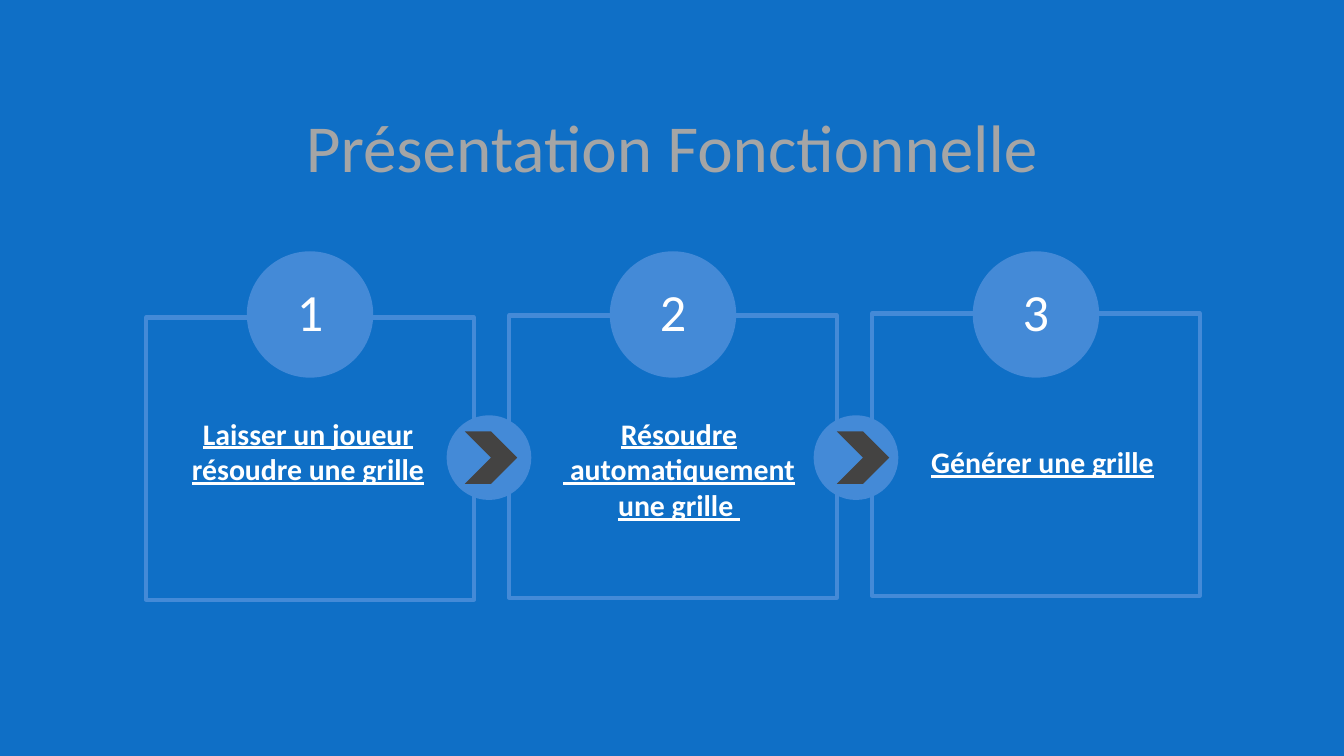
from pptx import Presentation
from pptx.dml.color import RGBColor
from pptx.enum.shapes import MSO_SHAPE
from pptx.enum.text import MSO_ANCHOR, PP_ALIGN
from pptx.util import Inches, Pt

COLORS = {
    "background": "0F6FC6",
    "accent": "448AD7",
    "chevron": "444342",
    "title": "A5A5A5",
    "text": "FFFFFF",
}
SLIDE_WIDTH, SLIDE_HEIGHT = 13.33, 7.5
FRAME_LEFT, FRAME_TOP, FRAME_WIDTH, FRAME_HEIGHT = 1.45, 3.15, 3.25, 2.8
FRAME_PITCH, FRAME_RISE = 3.6, 0.02
BADGE_TOP, BADGE_SIZE = 2.5, 1.24
ARROW_SIZE, CHEVRON_SIZE = 0.84, 0.52

# Paragraphs, then left, top, width and height of the description
STEPS = [
    (["Laisser un joueur résoudre une grille"], (1.73, 4.07, 2.65, 0.82)),
    (["Résoudre", " automatiquement une grille "], (5.3, 4.07, 2.87, 1.18)),
    (["Générer une grille"], (8.91, 4.35, 2.86, 0.46)),
]
# Left of each disc, then of the chevron inside it
ARROWS = [(4.43, 0.18), (8.07, 0.23)]


def color(name):
    return RGBColor.from_string(COLORS[name])


def add_shape(shapes, kind, box, fill=None, line=None, line_width=1):
    shape = shapes.add_shape(kind, *map(Inches, box))
    shape.shadow.inherit = False
    if fill:
        shape.fill.solid()
        shape.fill.fore_color.rgb = color(fill)
    else:
        shape.fill.background()
    if line:
        shape.line.color.rgb = color(line)
        shape.line.width = Pt(line_width)
    else:
        shape.line.fill.background()
    return shape


def add_text(slide, box, lines, size, text_color="text", emphasis=False):
    """Add centred text; emphasis makes it bold and underlined."""
    frame = slide.shapes.add_textbox(*map(Inches, box)).text_frame
    frame.word_wrap = True
    frame.text = "\n".join(lines)
    for paragraph in frame.paragraphs:
        paragraph.alignment = PP_ALIGN.CENTER
        font = paragraph.font
        font.name = "Calibri"
        font.size = Pt(size)
        font.bold = font.underline = emphasis
        font.color.rgb = color(text_color)
    return frame


def add_title(slide, box):
    frame = add_text(slide, box, ["Présentation Fonctionnelle"], 48, "title")
    frame.vertical_anchor = MSO_ANCHOR.MIDDLE
    frame.paragraphs[0].line_spacing = 0.9
    frame.paragraphs[0].space_before = Pt(10)


def add_step(slide, box, number, lines, text_box):
    """Add a frame with a numbered badge over its top edge and a description."""
    left, _, width, _ = box
    center = left + width / 2
    shapes = slide.shapes.add_group_shape().shapes
    add_shape(shapes, MSO_SHAPE.RECTANGLE, box, line="accent", line_width=3)
    badge = (center - BADGE_SIZE / 2, BADGE_TOP, BADGE_SIZE, BADGE_SIZE)
    add_shape(shapes, MSO_SHAPE.OVAL, badge, "accent", "accent")
    add_text(slide, text_box, lines, 21.3, emphasis=True)
    add_text(slide, (center - 0.35, BADGE_TOP + 0.22, 0.7, 0.73), [str(number)], 37.3)


def add_arrow(slide, box, chevron_offset):
    left, top, size, _ = box
    shapes = slide.shapes.add_group_shape().shapes
    add_shape(shapes, MSO_SHAPE.OVAL, box, "accent")
    chevron_top = top + (size - CHEVRON_SIZE) / 2
    chevron = (left + chevron_offset, chevron_top, CHEVRON_SIZE, CHEVRON_SIZE)
    add_shape(shapes, MSO_SHAPE.CHEVRON, chevron, "chevron")


def main():
    presentation = Presentation()
    presentation.slide_width = Inches(SLIDE_WIDTH)
    presentation.slide_height = Inches(SLIDE_HEIGHT)
    slide = presentation.slides.add_slide(presentation.slide_layouts[6])
    slide.background.fill.solid()
    slide.background.fill.fore_color.rgb = color("background")

    add_title(slide, (0, 1.08, SLIDE_WIDTH, 0.84))
    for index, (lines, text_box) in enumerate(STEPS):
        left = FRAME_LEFT + index * FRAME_PITCH
        top = FRAME_TOP - index * FRAME_RISE
        box = (left, top, FRAME_WIDTH, FRAME_HEIGHT)
        add_step(slide, box, index + 1, lines, text_box)
    for left, chevron_offset in ARROWS:
        add_arrow(slide, (left, 4.12, ARROW_SIZE, ARROW_SIZE), chevron_offset)

    presentation.save("out.pptx")


if __name__ == "__main__":
    main()
